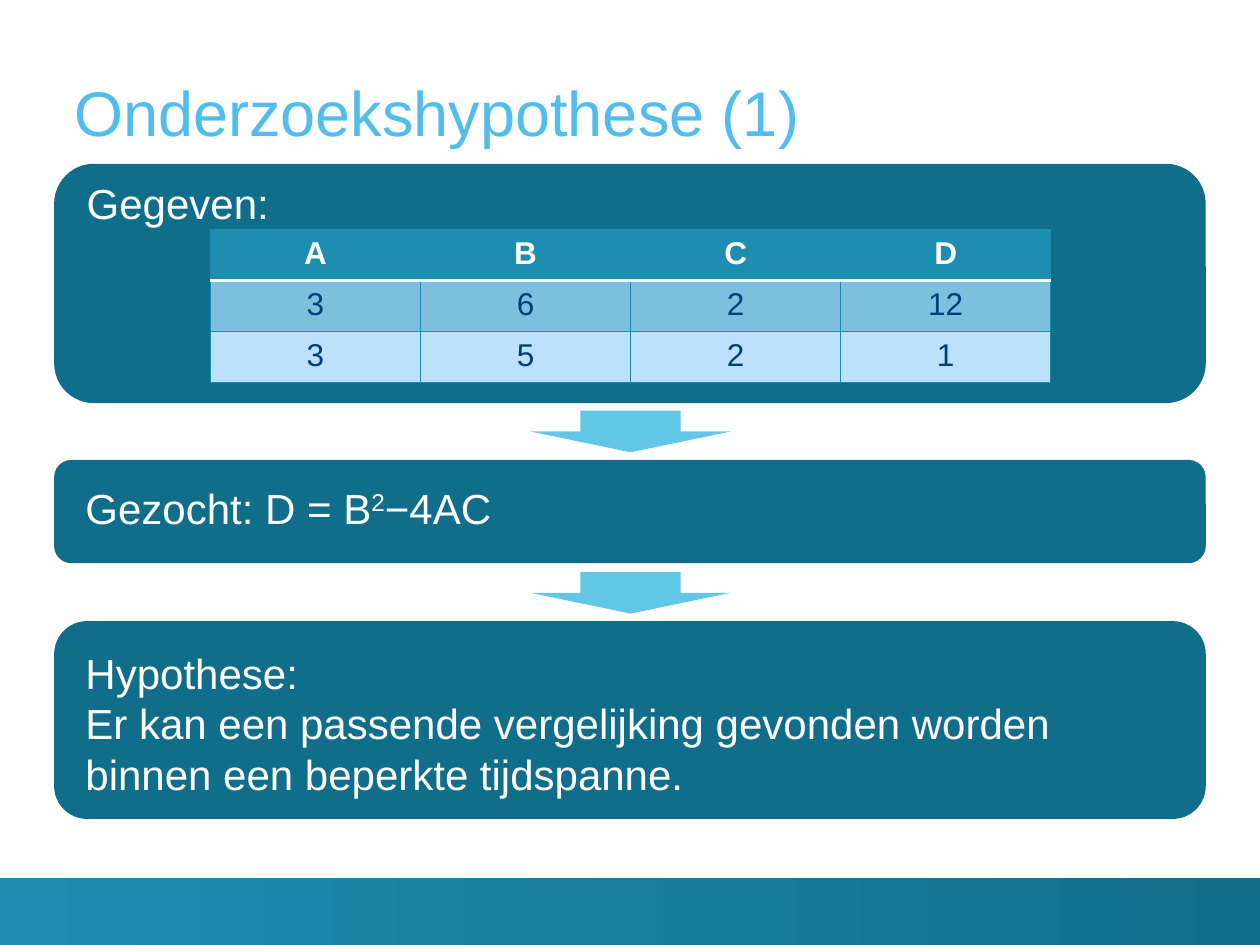
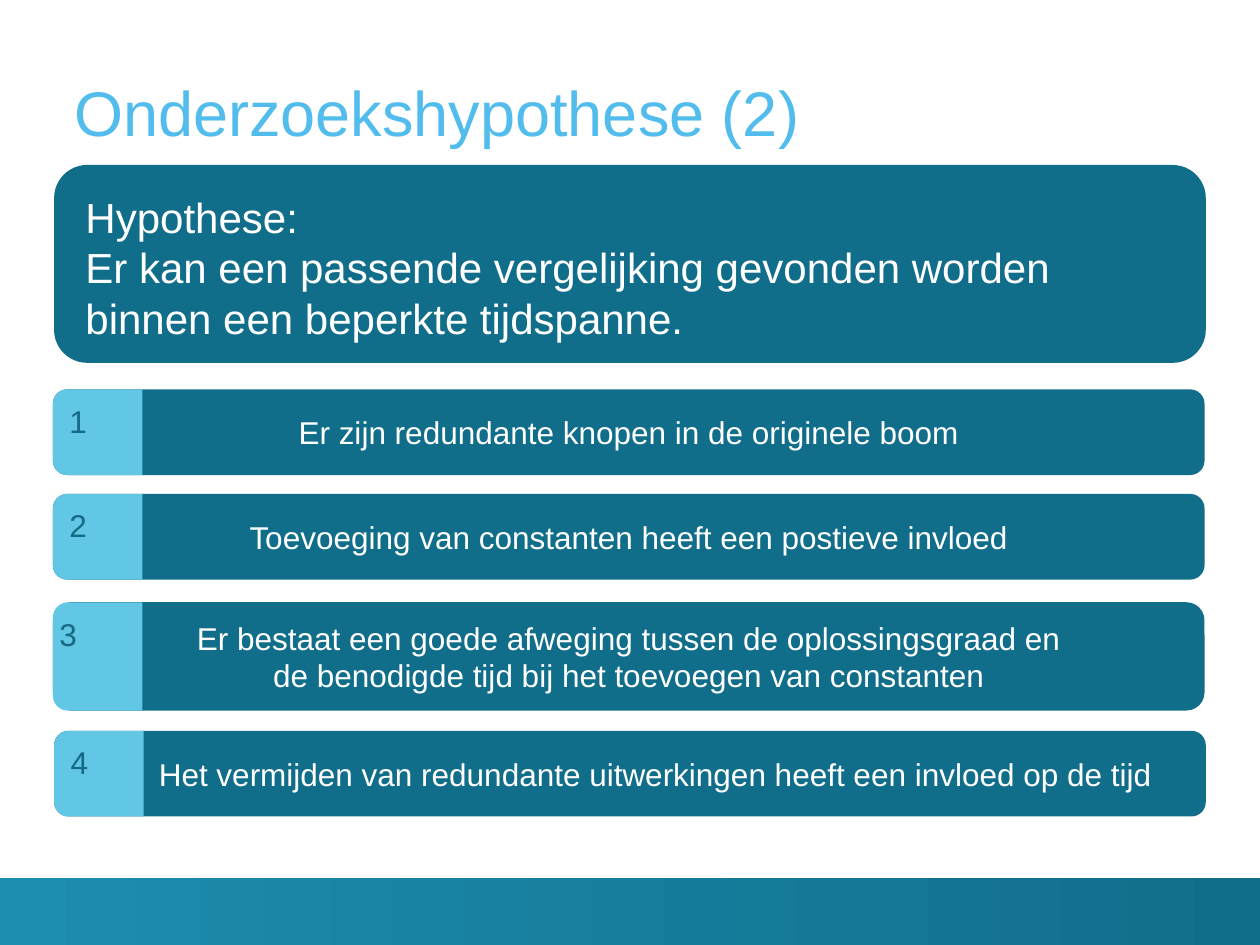
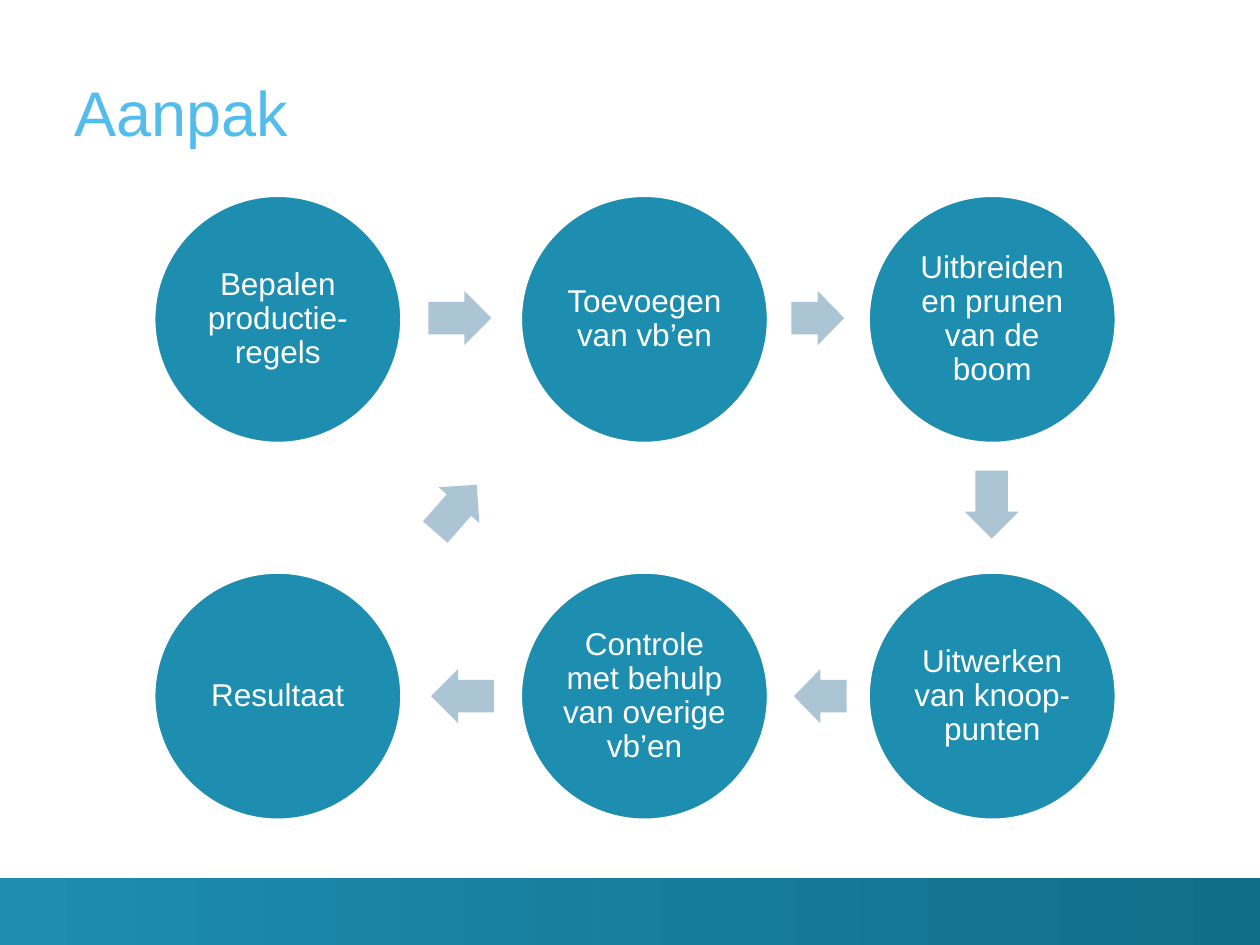
"""Build three slides on a research hypothesis and its approach."""
from dataclasses import dataclass

import pptx
import pptx.dml.color
import pptx.enum.shapes
import pptx.enum.text
import pptx.oxml
import pptx.oxml.ns
import pptx.util
from pptx.util import Inches

SHAPE = pptx.enum.shapes.MSO_SHAPE
ALIGN = pptx.enum.text.PP_ALIGN
ANCHOR = pptx.enum.text.MSO_ANCHOR


@dataclass(frozen=True)
class Theme:
    font: str = "Arial"
    title_size: int = 36
    lead_size: int = 24
    body_size: int = 18
    title: str = "52BDEC"
    panel: str = "116E8A"
    accent: str = "1D8DB0"
    light: str = "62C6E5"
    number: str = "166A84"
    cycle: str = "ACC5D4"
    grid: str = "198CB0"
    cell_text: str = "00407A"
    row_dark: str = "7DBFDC"
    row_light: str = "BBE1FB"
    white: str = "FFFFFF"


THEME = Theme()

TITLES = ["Onderzoekshypothese (1)", "Onderzoekshypothese (2)", "Aanpak"]
GIVEN = "Gegeven:"
GIVEN_VALUES = [("A", "B", "C", "D"), ("3", "6", "2", "12"), ("3", "5", "2", "1")]
SOUGHT = [("Gezocht: D = B", 0), ("2", 30000), ("−4AC", 0)]
HYPOTHESIS = ("Hypothese:\nEr kan een passende vergelijking gevonden worden "
              "binnen een beperkte tijdspanne.")
SUBHYPOTHESES = [
    dict(claim="Er zijn redundante knopen in de originele boom", left=0.42, top=3.09),
    dict(claim="Toevoeging van constanten heeft een postieve invloed", left=0.42, top=3.92),
    dict(claim="Er bestaat een goede afweging tussen de oplossingsgraad en\n"
               "de benodigde tijd bij het toevoegen van constanten",
         left=0.42, top=4.78, height=0.86, number_shift=0.12),
    dict(claim="Het vermijden van redundante uitwerkingen heeft een invloed op de tijd",
         left=0.43, top=5.8, indent=0.5),
]
COLUMNS = [1.22, 4.13, 6.89]
ROWS = [1.55, 4.54]
STEPS = [
    ("Bepalen productie-regels", 0, 0),
    ("Toevoegen van vb’en", 1, 0),
    ("Uitbreiden en prunen van de boom", 2, 0),
    ("Uitwerken van knoop-punten", 2, 1),
    ("Controle met behulp van overige vb’en", 1, 1),
    ("Resultaat", 0, 1),
]
STEP_ARROWS = [
    (3.4, 2.31, 0.5, 0), (6.28, 2.31, 0.42, 0), (7.6, 3.79, 0.54, 90),
    (6.3, 5.31, 0.42, 180), (3.42, 5.31, 0.5, 180), (3.37, 3.82, 0.5, 311.3),
]
PANEL_LEFT, PANEL_WIDTH = 0.43, 9.14
TAB_WIDTH = 0.71
CIRCLE = 1.97


def rgb(value):
    return pptx.dml.color.RGBColor.from_string(value)


def write(frame, text, size=THEME.body_size, color=THEME.white, bold=False,
          align=ALIGN.LEFT, anchor=ANCHOR.TOP, insets=(0.1, 0.05, 0.1, 0.05), spacing=None):
    frame.word_wrap = True
    frame.vertical_anchor = anchor
    frame.margin_left, frame.margin_top, frame.margin_right, frame.margin_bottom = map(Inches, insets)
    paragraph = frame.paragraphs[0]
    paragraph.alignment = align
    paragraph.line_spacing = spacing
    for part, baseline in [(text, 0)] if isinstance(text, str) else text:
        for index, line in enumerate(part.split("\n")):
            if index:
                paragraph.add_line_break()
            run = paragraph.add_run()
            run.text = line
            run.font.name, run.font.size = THEME.font, pptx.util.Pt(size)
            run.font.bold, run.font.color.rgb = bold, rgb(color)
            if baseline:
                run._r.get_or_add_rPr().set("baseline", str(baseline))


def label(slide, box, text, **style):
    write(slide.shapes.add_textbox(*map(Inches, box)).text_frame, text, **style)


def block(slide, kind, box, fill, rotation=0):
    shape = slide.shapes.add_shape(kind, *map(Inches, box))
    shape.shadow.inherit = False
    shape.fill.solid()
    shape.fill.fore_color.rgb = rgb(fill)
    shape.line.fill.background()
    shape.rotation = rotation
    return shape


def panel(slide, top, height, left=PANEL_LEFT):
    return block(slide, SHAPE.ROUNDED_RECTANGLE, (left, top, PANEL_WIDTH, height), THEME.panel)


def start_slide(deck, title):
    slide = deck.slides.add_slide(deck.slide_layouts[6])
    band = block(slide, SHAPE.RECTANGLE, (0, 6.97, 10, 0.53), THEME.accent)
    band.fill.gradient()
    band.fill.gradient_angle = 0
    for stop, position, color in zip(band.fill.gradient_stops, (0, 1), (THEME.accent, THEME.panel)):
        stop.position = position
        stop.color.rgb = rgb(color)
    label(slide, (0.59, 0.2, 9.11, 0.98), title, size=THEME.title_size, color=THEME.title,
          anchor=ANCHOR.BOTTOM, insets=(0, 0, 0, 0))
    return slide


def hypothesis(slide, top):
    panel(slide, top, 1.57)
    label(slide, (0.58, top + 0.16, 8.82, 1.31), HYPOTHESIS, size=THEME.lead_size)


def border(cell, side, color, width):
    cell._tc.get_or_add_tcPr().append(pptx.oxml.parse_xml(
        f'<a:ln{side} {pptx.oxml.ns.nsdecls("a")} w="{pptx.util.Pt(width)}"><a:solidFill>'
        f'<a:srgbClr val="{color}"/></a:solidFill></a:ln{side}>'))


def given_table(slide):
    row_count, column_count = len(GIVEN_VALUES), len(GIVEN_VALUES[0])
    table = slide.shapes.add_table(row_count, column_count, Inches(1.67), Inches(1.82),
                                   Inches(6.67), Inches(1.22)).table
    fills = [THEME.accent, THEME.row_dark, THEME.row_light]
    for r, values in enumerate(GIVEN_VALUES):
        for c, value in enumerate(values):
            cell = table.cell(r, c)
            for side in "LRTB":
                header_edge = (r, side) in ((0, "B"), (1, "T"))
                border(cell, side, *((THEME.white, 2) if header_edge else (THEME.grid, 0.75)))
            cell.fill.solid()
            cell.fill.fore_color.rgb = rgb(fills[r])
            write(cell.text_frame, value, bold=r == 0, align=ALIGN.CENTER,
                  color=THEME.cell_text if r else THEME.white)


def problem_slide(deck):
    slide = start_slide(deck, TITLES[0])
    panel(slide, 1.3, 1.9)
    given_table(slide)
    label(slide, (0.59, 1.36, 1.66, 0.5), GIVEN, size=THEME.lead_size)
    panel(slide, 3.65, 0.82)
    label(slide, (0.58, 3.78, 8.82, 0.5), SOUGHT, size=THEME.lead_size)
    hypothesis(slide, 4.93)
    for top in (3.26, 4.54):
        block(slide, SHAPE.DOWN_ARROW, (4.21, top, 1.59, 0.33), THEME.light)


def subhypothesis(slide, number, claim, left, top, height=0.68, number_shift=0.2, indent=0.1):
    bar = panel(slide, top, height, left)
    write(bar.text_frame, claim, align=ALIGN.CENTER, anchor=ANCHOR.MIDDLE,
          insets=(indent, 0.05, 0.1, 0.05))
    offset = (TAB_WIDTH - height) / 2
    block(slide, SHAPE.ROUND_2_SAME_RECTANGLE,
          (left + offset, top - offset, height, TAB_WIDTH), THEME.light, rotation=270)
    label(slide, (left + number_shift - 0.2, top + 0.05, 0.4, 0.4), str(number),
          color=THEME.number, align=ALIGN.CENTER, anchor=ANCHOR.MIDDLE, insets=(0, 0, 0, 0))


def hypotheses_slide(deck):
    slide = start_slide(deck, TITLES[1])
    hypothesis(slide, 1.31)
    for number, details in enumerate(SUBHYPOTHESES, 1):
        subhypothesis(slide, number, **details)


def approach_slide(deck):
    slide = start_slide(deck, TITLES[2])
    for step, column, row in STEPS:
        circle = block(slide, SHAPE.OVAL, (COLUMNS[column], ROWS[row], CIRCLE, CIRCLE), THEME.accent)
        circle.line.color.rgb = rgb(THEME.white)
        circle.line.width = pptx.util.Pt(2)
        write(circle.text_frame, step, align=ALIGN.CENTER, anchor=ANCHOR.MIDDLE,
              insets=(0.03,) * 4, spacing=0.9)
    for left, top, length, rotation in STEP_ARROWS:
        arrow = block(slide, SHAPE.RIGHT_ARROW, (left, top, length, 0.43), THEME.cycle, rotation)
        arrow.adjustments[0] = 0.6


def main():
    deck = pptx.Presentation()
    deck.slide_width, deck.slide_height = Inches(10), Inches(7.5)
    problem_slide(deck)
    hypotheses_slide(deck)
    approach_slide(deck)
    deck.save("out.pptx")


if __name__ == "__main__":
    main()
